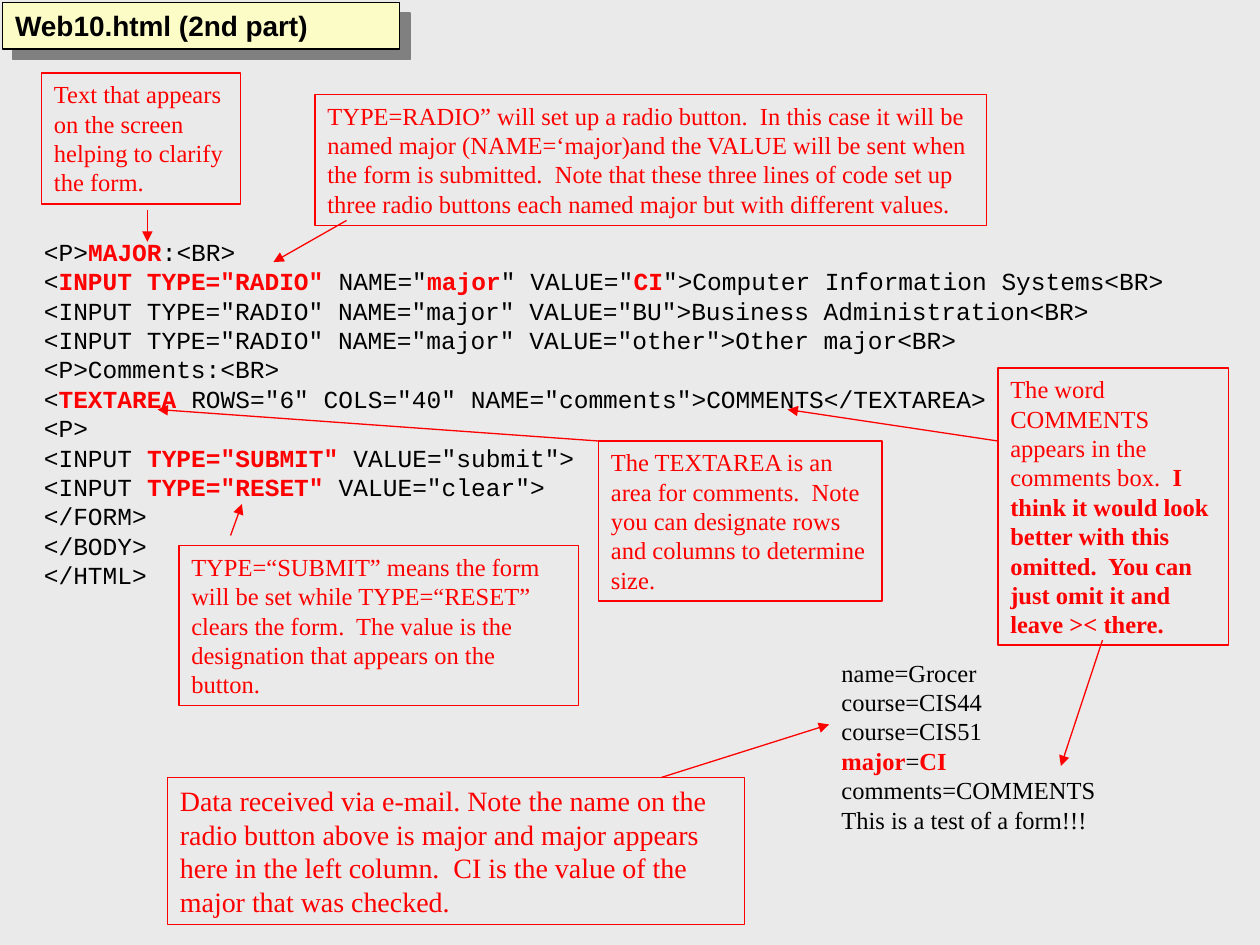
from dataclasses import dataclass

from lxml.etree import SubElement
from pptx import Presentation
from pptx.dml.color import RGBColor
from pptx.enum.shapes import MSO_CONNECTOR, MSO_SHAPE
from pptx.enum.text import MSO_ANCHOR, MSO_AUTO_SIZE, PP_ALIGN
from pptx.oxml.ns import qn
from pptx.util import Inches, Pt


@dataclass(frozen=True)
class Theme:
    background: str = "EAEAEA"
    title_fill: str = "FCFDC6"
    shadow: str = "808080"
    text: str = "000000"
    accent: str = "FF0000"
    title_font: str = "Arial"
    code_font: str = "Courier New"
    note_font: str = "Times New Roman"
    body_size: int = 14
    large_size: int = 16
    line_width: float = 0.75


THEME = Theme()

TITLE = "Web10.html (2nd part)"
TITLE_BOX = (0.02, 0.02, 3.15, 0.37)

# Asterisks enclose the emphasised words.
CODE_BOX = (0.25, 1.83, 9.5, 2.9)
CODE = [
    '<P>*MAJOR*:<BR>',
    '<*INPUT TYPE="RADIO"* NAME="*major*" VALUE="*CI*">Computer Information Systems<BR>',
    '<INPUT TYPE="RADIO" NAME="major" VALUE="BU">Business Administration<BR>',
    '<INPUT TYPE="RADIO" NAME="major" VALUE="other">Other major<BR>',
    '<P>Comments:<BR>',
    '<*TEXTAREA* ROWS="6" COLS="40" NAME="comments">COMMENTS</TEXTAREA>',
    '<P>',
    '<INPUT *TYPE="SUBMIT"* VALUE="submit">',
    '<INPUT *TYPE="RESET"* VALUE="clear">',
    '</FORM>',
    '</BODY>',
    '</HTML>',
]

EMAIL_BOX = (6.58, 5.17, 2.3, 1.74)
EMAIL = [
    "name=Grocer",
    "course=CIS44",
    "course=CIS51",
    "*major*=*CI*",
    "comments=COMMENTS",
    "This is a test of a form!!!",
]

# (box, text size, text)
CALLOUTS = [
    ((2.5, 0.75, 5.33, 1.04), THEME.body_size,
     "TYPE=RADIO” will set up a radio button.  In this case it will be named major "
     "(NAME=‘major)and the VALUE will be sent when the form is submitted.  Note that "
     "these three lines of code set up three radio buttons each named major but with "
     "different values."),
    ((4.75, 3.5, 2.25, 1.27), THEME.body_size,
     "The TEXTAREA is an area for comments.  Note you can designate rows and columns "
     "to determine size."),
    ((7.92, 2.92, 1.83, 2.2), THEME.body_size,
     "The word COMMENTS appears in the comments box.  *I think it would look better "
     "with this omitted.  You can just omit it and leave >< there.*"),
    ((1.42, 4.33, 3.17, 1.27), THEME.body_size,
     "TYPE=“SUBMIT” means the form will be set while TYPE=“RESET” clears the form.  "
     "The value is the designation that appears on the button."),
    ((1.33, 6.17, 4.58, 1.17), THEME.large_size,
     "Data received via e-mail. Note the name on the radio button above is major and "
     "major appears here in the left column.  CI is the value of the major that was "
     "checked."),
    ((0.33, 0.58, 1.58, 1.04), THEME.body_size,
     "Text that appears on the screen helping to clarify the form."),
]

# (start x, start y, end x, end y)
ARROWS = [
    (2.75, 1.75, 2.17, 2.08),
    (4.75, 3.5, 1.25, 3.25),
    (7.92, 3.5, 6.25, 3.25),
    (1.83, 4.25, 1.92, 4),
    (5.25, 6.17, 6.58, 5.75),
    (8.75, 5.08, 8.42, 6.08),
    (1.17, 1.67, 1.17, 1.92),
]


def color(value):
    return RGBColor.from_string(value)


def inches(values):
    return [Inches(value) for value in values]


def set_line(line, value):
    line.color.rgb = color(value)
    line.width = Pt(THEME.line_width)


def write_text(shape, lines, font, size, plain, emphasis):
    """Write one paragraph per line; text between asterisks is bold."""
    frame = shape.text_frame
    frame.word_wrap = True
    frame.auto_size = MSO_AUTO_SIZE.NONE
    frame.vertical_anchor = MSO_ANCHOR.TOP
    frame.margin_left = frame.margin_right = Inches(0.1)
    frame.margin_top = frame.margin_bottom = Inches(0.05)
    for index, line in enumerate(lines):
        paragraph = frame.add_paragraph() if index else frame.paragraphs[0]
        paragraph.alignment = PP_ALIGN.LEFT
        for position, text in enumerate(line.split("*")):
            if not text:
                continue
            bold = position % 2 == 1
            run = paragraph.add_run()
            run.text = text
            run.font.name = font
            run.font.size = Pt(size)
            run.font.bold = bold
            run.font.color.rgb = color(emphasis if bold else plain)


def add_title(slide):
    title = slide.shapes.title
    title.left, title.top, title.width, title.height = inches(TITLE_BOX)
    title.fill.solid()
    title.fill.fore_color.rgb = color(THEME.title_fill)
    set_line(title.line, THEME.text)
    effects = SubElement(title._element.spPr, qn("a:effectLst"))
    shadow = SubElement(effects, qn("a:outerShdw"), dist=str(Pt(8.5)),
                        dir=str(45 * 60000), algn="ctr", rotWithShape="0")
    SubElement(shadow, qn("a:srgbClr"), val=THEME.shadow)
    write_text(title, [f"*{TITLE}*"], THEME.title_font, THEME.large_size,
               THEME.text, THEME.text)


def add_listing(slide, box, lines, font):
    listing = slide.shapes.add_textbox(*inches(box))
    write_text(listing, lines, font, THEME.body_size, THEME.text, THEME.accent)


def add_callout(slide, box, size, text):
    callout = slide.shapes.add_shape(MSO_SHAPE.RECTANGLE, *inches(box))
    callout.shadow.inherit = False
    callout.fill.background()
    set_line(callout.line, THEME.accent)
    write_text(callout, [text], THEME.note_font, size, THEME.accent, THEME.accent)


def add_arrow(slide, ends):
    arrow = slide.shapes.add_connector(MSO_CONNECTOR.STRAIGHT, *inches(ends))
    set_line(arrow.line, THEME.accent)
    SubElement(arrow.line._get_or_add_ln(), qn("a:tailEnd"), type="triangle")
    SubElement(arrow._element.spPr, qn("a:effectLst"))


def main():
    presentation = Presentation()
    presentation.slide_width, presentation.slide_height = Inches(10), Inches(7.5)
    slide = presentation.slides.add_slide(
        presentation.slide_layouts.get_by_name("Title Only"))
    slide.background.fill.solid()
    slide.background.fill.fore_color.rgb = color(THEME.background)

    add_title(slide)
    add_listing(slide, CODE_BOX, CODE, THEME.code_font)
    add_listing(slide, EMAIL_BOX, EMAIL, THEME.note_font)
    for callout in CALLOUTS:
        add_callout(slide, *callout)
    for ends in ARROWS:
        add_arrow(slide, ends)
    presentation.save("out.pptx")


if __name__ == "__main__":
    main()
